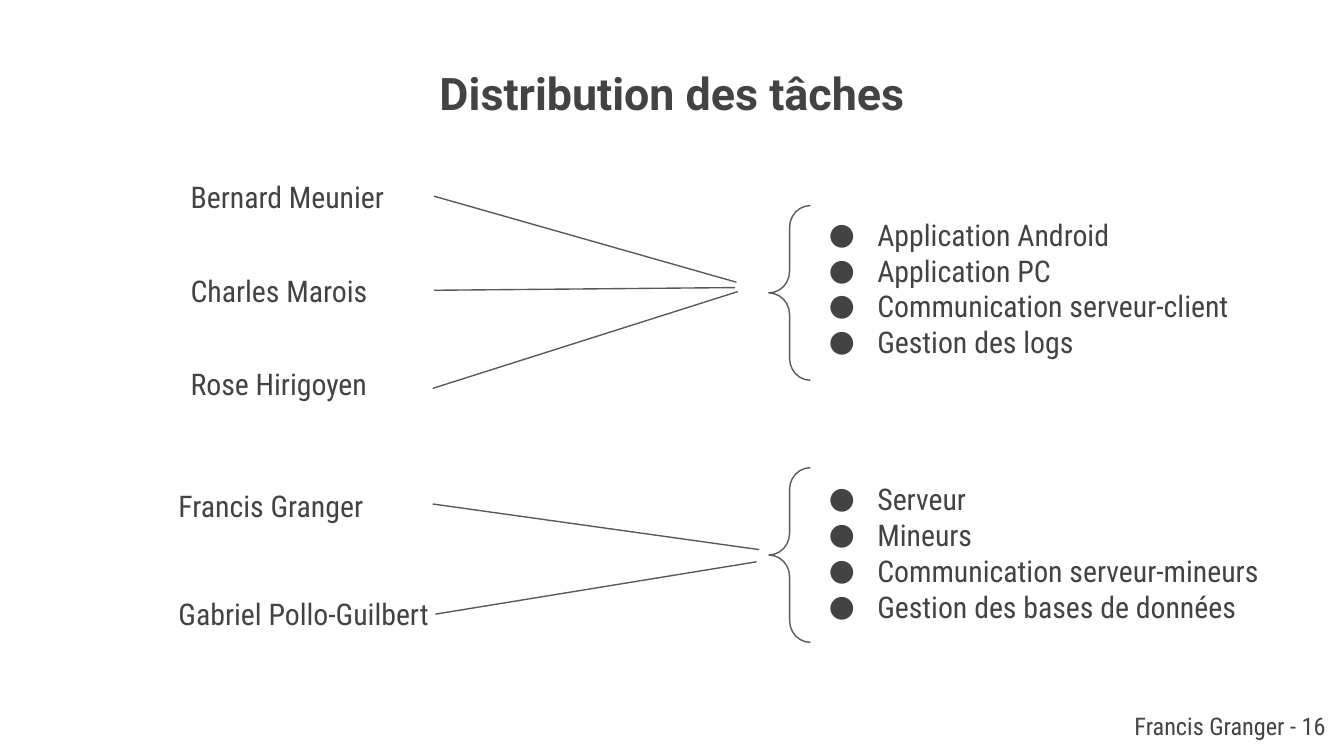
from lxml import etree
from pptx import Presentation
from pptx.dml.color import RGBColor
from pptx.enum.shapes import MSO_CONNECTOR, MSO_SHAPE
from pptx.enum.text import MSO_ANCHOR, PP_ALIGN
from pptx.oxml.ns import qn
from pptx.util import Inches, Pt

STRAIGHT = MSO_CONNECTOR.STRAIGHT
LEFT_BRACE = MSO_SHAPE.LEFT_BRACE
TOP = MSO_ANCHOR.TOP
LEFT, CENTER, RIGHT = PP_ALIGN.LEFT, PP_ALIGN.CENTER, PP_ALIGN.RIGHT

TEXT_COLOR = "434343"
LINE_COLOR = "595959"
BODY_FONT = "Roboto Condensed"
BRACE_WIDTH, BRACE_HEIGHT = 0.31, 1.3

# Each link runs from (x, y) beside a name to (x, y) before the brace,
# measured from the top left corner of its group.
TEAMS = [
    {
        "box": (1.32, 1.23),
        "members": [
            ("Bernard Meunier", 0, (1.91, 0.23), (4.16, 0.87)),
            ("Charles Marois", 0.7, (1.91, 0.93), (4.15, 0.91)),
            ("Rose Hirigoyen", 1.39, (1.9, 1.66), (4.17, 0.94)),
        ],
        "brace": (4.4, 0.3),
        "task_box": (4.61, 0.28, 3.57, 1.25),
        "tasks": ["Application Android", "Application PC",
                  "Communication serveur-client", "Gestion des logs"],
    },
    {
        "box": (1.23, 3.53),
        "members": [
            ("Francis Granger", 0, (1.99, 0.22), (4.42, 0.56)),
            ("Gabriel Pollo-Guilbert", 0.8, (2.01, 1.04), (4.4, 0.65)),
        ],
        "brace": (4.49, -0.05),
        "task_box": (4.7, -0.05, 3.76, 1.3),
        "tasks": ["Serveur", "Mineurs", "Communication serveur-mineurs",
                  "Gestion des bases de données"],
    },
]


def rgb(value):
    return RGBColor.from_string(value)


def add_bullet(para):
    properties = para._p.get_or_add_pPr()
    properties.set("marL", str(Inches(0.5)))
    properties.set("indent", str(Inches(-0.36)))
    color = etree.SubElement(properties, qn("a:buClr"))
    etree.SubElement(color, qn("a:srgbClr"), val=TEXT_COLOR)
    etree.SubElement(properties, qn("a:buFont"), typeface=BODY_FONT)
    etree.SubElement(properties, qn("a:buChar"), char="●")


def add_text(page, box, lines, size=16, font=BODY_FONT, align=LEFT,
             bold=False, bullets=False):
    frame = page.shapes.add_textbox(*map(Inches, box)).text_frame
    frame.word_wrap = True
    frame.vertical_anchor = TOP
    frame.margin_left = frame.margin_right = Inches(0.1)
    frame.margin_top = frame.margin_bottom = Inches(0.1)
    frame.text = "\n".join(lines)
    for para in frame.paragraphs:
        para.alignment = align
        if bullets:
            add_bullet(para)
        for span in para.runs:
            span.font.name = font
            span.font.size = Pt(size)
            span.font.bold = bold
            span.font.color.rgb = rgb(TEXT_COLOR)


def style_line(line):
    line.color.rgb = rgb(LINE_COLOR)
    line.width = Pt(0.75)


def add_link(page, start, end):
    link = page.shapes.add_connector(STRAIGHT, *map(Inches, (*start, *end)))
    style_line(link.line)
    etree.SubElement(link._element.spPr, qn("a:effectLst"))


def add_brace(page, left, top):
    box = (left, top, BRACE_WIDTH, BRACE_HEIGHT)
    brace = page.shapes.add_shape(LEFT_BRACE, *map(Inches, box))
    brace.adjustments[0] = 0.52
    brace.adjustments[1] = 0.5
    brace.shadow.inherit = False
    brace.fill.background()
    style_line(brace.line)


def add_team(page, box, members, brace, task_box, tasks):
    """Links the members of a team to their shared, bracketed task list."""
    left, top = box

    def place(point):
        return left + point[0], top + point[1]

    for name, offset, start, end in members:
        add_text(page, (left, top + offset, 2.14, 0.41), [name])
        add_link(page, place(start), place(end))
    add_brace(page, *place(brace))
    add_text(page, (*place(task_box), *task_box[2:]), tasks, bullets=True)


def main():
    deck = Presentation()
    deck.slide_width = Inches(10)
    deck.slide_height = deck.slide_width * 9 // 16
    page = deck.slides.add_slide(deck.slide_layouts[6])
    add_text(page, (2.15, 0.39, 5.7, 1.03), ["Distribution des tâches"],
             size=24, font="Roboto", align=CENTER, bold=True)
    for team in TEAMS:
        add_team(page, **team)
    add_text(page, (8.15, 5.19, 1.81, 0.43), ["Francis Granger - 16"],
             size=13, align=RIGHT)
    deck.save("out.pptx")


if __name__ == "__main__":
    main()
